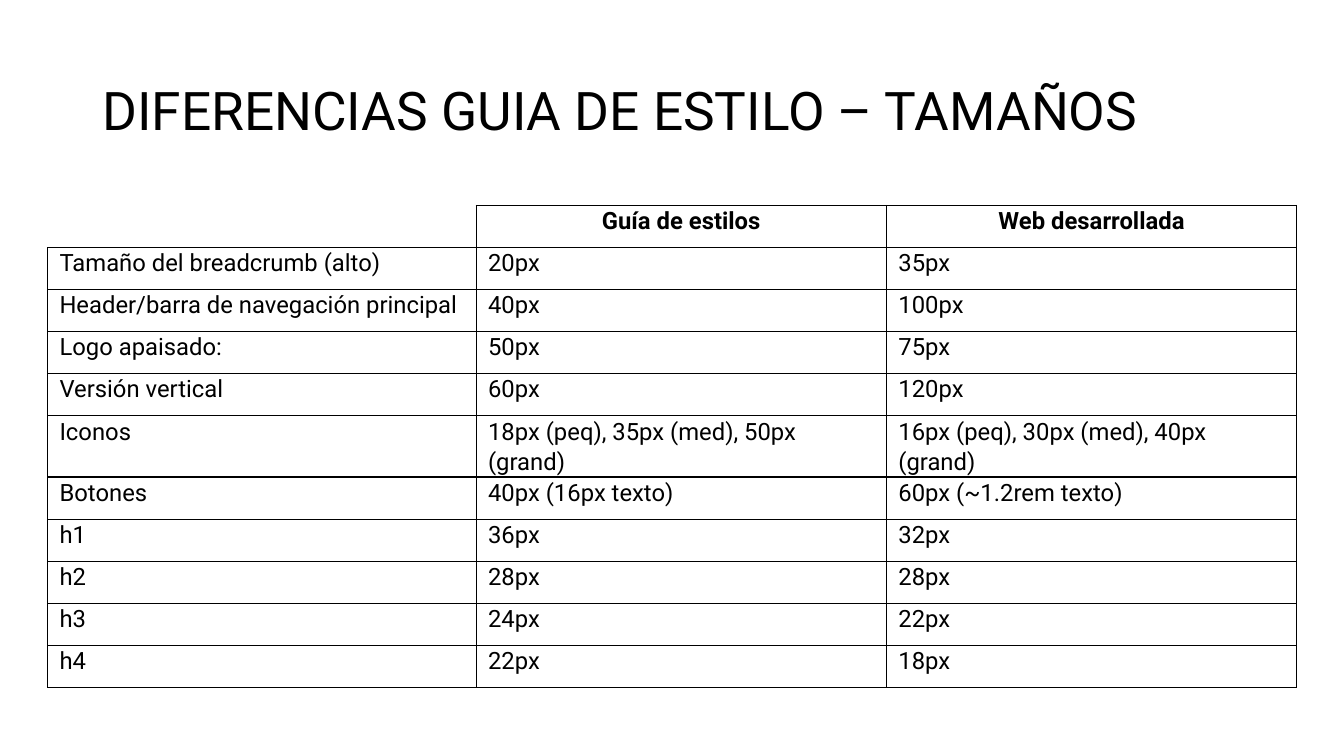
from dataclasses import dataclass

from lxml.etree import SubElement
from pptx import Presentation
from pptx.dml.color import RGBColor
from pptx.enum.text import MSO_ANCHOR, PP_ALIGN
from pptx.oxml.ns import qn
from pptx.slide import Slide
from pptx.table import _Cell
from pptx.text.text import _Paragraph
from pptx.util import Cm, Pt

COLORS = {"text": "000000", "border": "000000", "background": "FFFFFF"}
FONT = "Roboto"
TITLE = "DIFERENCIAS GUIA DE ESTILO – TAMAÑOS"
COLUMN_WIDTHS = (10.8, 10.34, 10.34)
ROW_HEIGHT = 1.06


@dataclass(frozen=True)
class SizeRow:
    element: str
    style_guide: str
    website: str


HEADER = SizeRow("", "Guía de estilos", "Web desarrollada")
SIZES = [
    SizeRow("Tamaño del breadcrumb (alto)", "20px", "35px"),
    SizeRow("Header/barra de navegación principal", "40px", "100px"),
    SizeRow("Logo apaisado:", "50px", "75px"),
    SizeRow("Versión vertical", "60px", "120px"),
    SizeRow("Iconos", "18px (peq), 35px (med), 50px (grand)",
            "16px (peq), 30px (med), 40px (grand)"),
    SizeRow("Botones", "40px (16px texto)", "60px (~1.2rem texto)"),
    SizeRow("h1", "36px", "32px"),
    SizeRow("h2", "28px", "28px"),
    SizeRow("h3", "24px", "22px"),
    SizeRow("h4", "22px", "18px"),
]


def add_run(paragraph: _Paragraph, text: str, size: float, bold: bool = False) -> None:
    run = paragraph.add_run()
    run.text = text
    run.font.name = FONT
    run.font.size = Pt(size)
    run.font.bold = bold
    run.font.color.rgb = RGBColor.from_string(COLORS["text"])


def set_borders(cell: _Cell, visible: str) -> None:
    """Draw the sides named in visible (L, R, T, B) and hide the others."""
    properties = cell._tc.get_or_add_tcPr()
    for side in "LRTB":
        line = SubElement(properties, qn(f"a:ln{side}"), w=str(Pt(1)))
        if side in visible:
            fill = SubElement(line, qn("a:solidFill"))
            SubElement(fill, qn("a:srgbClr"), val=COLORS["border"])
        else:
            SubElement(line, qn("a:noFill"))


def fill_cell(cell: _Cell, text: str, is_header: bool) -> None:
    set_borders(cell, "LRTB" if text else "RB")
    cell.fill.background()
    cell.margin_left = cell.margin_right = Cm(0.3)
    cell.margin_top = cell.margin_bottom = Cm(0)
    if not text:
        return
    paragraph = cell.text_frame.paragraphs[0]
    paragraph.alignment = PP_ALIGN.CENTER if is_header else PP_ALIGN.LEFT
    paragraph.line_spacing = 1.07
    paragraph.space_after = Pt(8)
    add_run(paragraph, text, 17, bold=is_header)


def add_title(slide: Slide) -> None:
    title = slide.shapes.add_textbox(Cm(2.33), Cm(1.02), Cm(29.21), Cm(3.68))
    frame = title.text_frame
    frame.word_wrap = True
    frame.vertical_anchor = MSO_ANCHOR.MIDDLE
    paragraph = frame.paragraphs[0]
    paragraph.line_spacing = 0.9
    add_run(paragraph, TITLE, 38)


def add_size_table(slide: Slide) -> None:
    rows = [HEADER, *SIZES]
    table = slide.shapes.add_table(
        len(rows), len(COLUMN_WIDTHS), Cm(1.2), Cm(5.18),
        Cm(sum(COLUMN_WIDTHS)), Cm(ROW_HEIGHT * len(rows))).table
    table.first_row = False
    table.horz_banding = False
    for column, width in zip(table.columns, COLUMN_WIDTHS):
        column.width = Cm(width)
    for table_row, row in zip(table.rows, rows):
        table_row.height = Cm(ROW_HEIGHT)
        texts = (row.element, row.style_guide, row.website)
        for cell, text in zip(table_row.cells, texts):
            fill_cell(cell, text, row is HEADER)


def main() -> None:
    presentation = Presentation()
    presentation.slide_width = Cm(33.87)
    presentation.slide_height = Cm(19.05)
    slide = presentation.slides.add_slide(presentation.slide_layouts[6])
    slide.background.fill.solid()
    slide.background.fill.fore_color.rgb = RGBColor.from_string(COLORS["background"])
    add_title(slide)
    add_size_table(slide)
    presentation.save("out.pptx")


if __name__ == "__main__":
    main()
